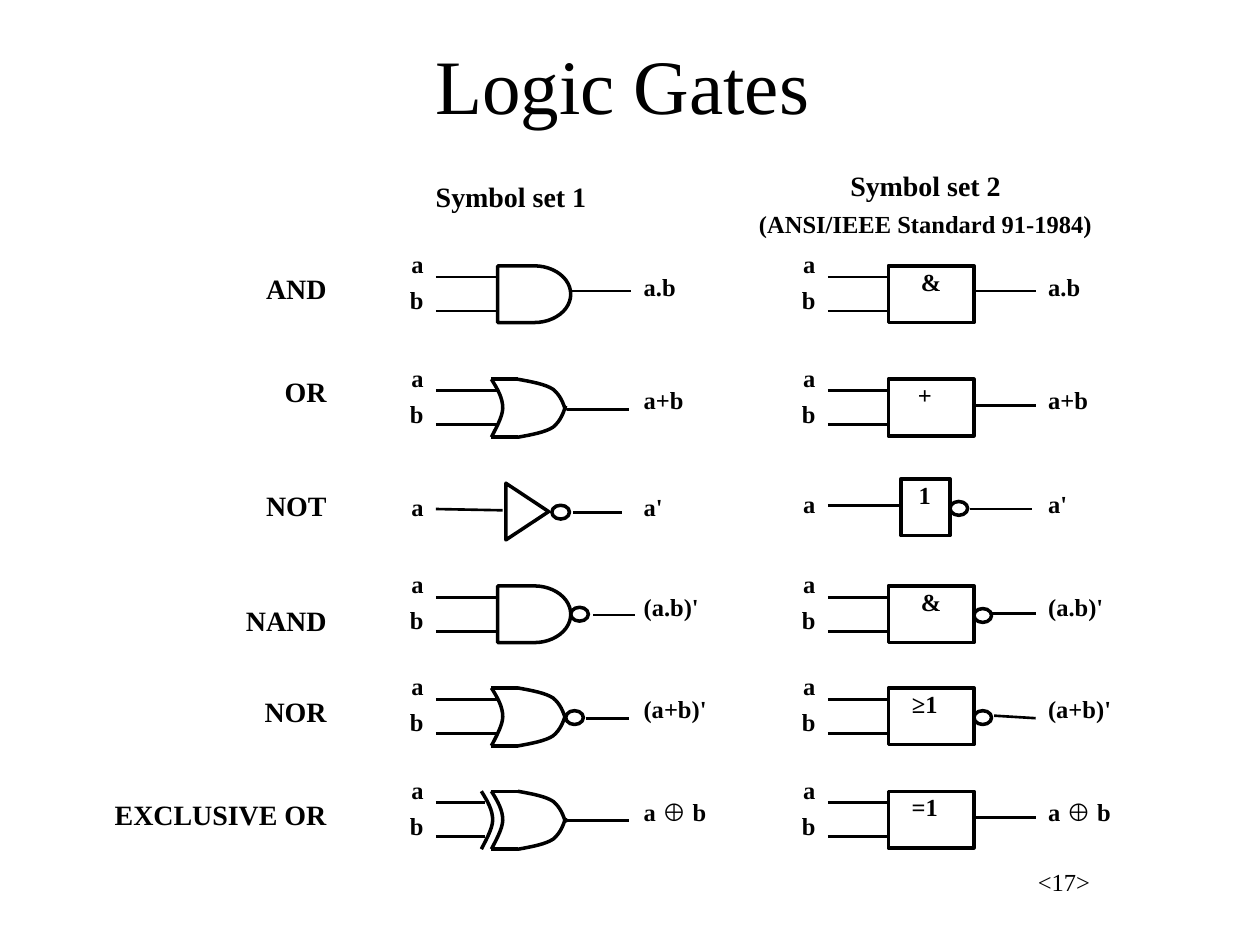
from lxml.etree import SubElement
from pptx import Presentation
from pptx.dml.color import RGBColor
from pptx.enum.shapes import MSO_CONNECTOR, MSO_SHAPE
from pptx.enum.text import MSO_ANCHOR, PP_ALIGN
from pptx.oxml.ns import qn
from pptx.util import Inches, Pt

FONT = "Times New Roman"
BLACK = "000000"
LEFT, CENTER, RIGHT = PP_ALIGN.LEFT, PP_ALIGN.CENTER, PP_ALIGN.RIGHT

GATES = [
    {"label": "AND", "label_top": 2.11, "label_width": 1.07, "top": 2.11, "symbol": "and",
     "output": "a.b", "operator": "&", "operator_left": 7.15,
     "sides": [(0.68, (4.53, 2.31, 5.01, 2.31), None), (0.68, (7.73, 2.31, 8.22, 2.31), None)]},
    {"label": "OR", "label_top": 2.92, "label_width": 1.07, "top": 3.01, "symbol": "or",
     "output": "a+b", "operator": "+", "operator_left": 7.05,
     "sides": [(0.68, (4.5, 3.25, 4.99, 3.25), None), (0.68, (7.73, 3.22, 8.22, 3.22), None)]},
    {"label": "NOT", "label_top": 3.83, "label_width": 1.07, "top": 3.8, "symbol": "not",
     "output": "a'", "operator": "1", "operator_left": 7.05,
     "sides": [(0.58, (4.55, 4.07, 4.94, 4.07), (4.38, 4.01)),
               (0.68, (7.7, 4.04, 8.19, 4.04), (7.54, 3.98))]},
    {"label": "NAND", "label_top": 4.74, "label_width": 1.07, "top": 4.65, "symbol": "and",
     "output": "(a.b)'", "operator": "&", "operator_left": 7.15,
     "sides": [(0.78, (4.71, 4.88, 5.04, 4.88), (4.53, 4.82)),
               (0.78, (7.86, 4.87, 8.22, 4.87), (7.73, 4.83))]},
    {"label": "NOR", "label_top": 5.46, "label_width": 1.07, "top": 5.46, "symbol": "or",
     "output": "(a+b)'", "operator": "≥1", "operator_left": 7.05,
     "sides": [(0.87, (4.65, 5.7, 4.99, 5.7), (4.49, 5.64)),
               (0.97, (7.89, 5.68, 8.22, 5.7), (7.73, 5.64))]},
    {"label": "EXCLUSIVE OR", "label_top": 6.28, "label_width": 2.34, "top": 6.28, "symbol": "xor",
     "output": "a ⊕ b", "operator": "=1", "operator_left": 7.05,
     "sides": [(0.87, (4.5, 6.51, 4.99, 6.51), None), (0.97, (7.73, 6.49, 8.22, 6.49), None)]},
]
INPUT_LEFTS = (3.07, 6.18)
OUTPUT_LEFTS = (5.01, 8.22)
WIRE_STARTS = (3.46, 6.57)
NOT_INPUTS = [(3.86, (3.46, 4.04, 3.99, 4.05)), (3.83, (6.57, 4.01, 7.15, 4.01))]
LABEL_RIGHT = 2.69
GATE_HEIGHT = 0.45

BACK = [(0, 0), (0.05, 0.08), (0.09, 0.15), (0.09, 0.23), (0.09, 0.3), (0.02, 0.42), (0, 0.46)]
UPPER = [(0.21, 0), (0.32, 0.02), (0.43, 0.04), (0.49, 0.08), (0.55, 0.13), (0.57, 0.19), (0.59, 0.25)]
LOWER = [(x, 0.46 - y) for x, y in UPPER]

presentation = Presentation()
presentation.slide_width = Inches(10)
presentation.slide_height = Inches(7.5)
slide = presentation.slides.add_slide(presentation.slide_layouts[5])


def color(value):
    return RGBColor.from_string(value)


def write(frame, lines, align, bold=True):
    frame.word_wrap = True
    for index, (text, size) in enumerate(lines):
        paragraph = frame.paragraphs[0] if index == 0 else frame.add_paragraph()
        paragraph.alignment = align
        if index:
            paragraph.space_before = Pt(3.8)
        run = paragraph.add_run()
        run.text = text
        run.font.name = FONT
        run.font.size = Pt(size)
        run.font.bold = bold
        run.font.color.rgb = color(BLACK)


def add_text(shapes, left, top, width, height, lines, align=LEFT, bold=True):
    box = shapes.add_textbox(Inches(left), Inches(top), Inches(width), Inches(height))
    write(box.text_frame, lines, align, bold)


def outline(shape):
    shape.shadow.inherit = False
    shape.fill.background()
    shape.line.color.rgb = color(BLACK)
    shape.line.width = Pt(2)


def add_outline(kind, left, top, width, height, rotation=0):
    shape = diagram.add_shape(kind, Inches(left), Inches(top), Inches(width), Inches(height))
    shape.rotation = rotation
    outline(shape)


def add_wire(x1, y1, x2, y2, width=1.5):
    wire = diagram.add_connector(MSO_CONNECTOR.STRAIGHT, Inches(x1), Inches(y1), Inches(x2), Inches(y2))
    wire.line.color.rgb = color(BLACK)
    wire.line.width = Pt(width)
    SubElement(wire._element.spPr, qn("a:effectLst"))


def add_curve(controls, left, top):
    points = [(Inches(left + x), Inches(top + y)) for x, y in controls]
    builder = diagram.build_freeform(*points[0])
    builder.add_line_segments(points[1:], close=False)
    shape = builder.convert_to_shape()
    segments = list(shape._element.iter(qn("a:lnTo")))
    outline_element = segments[0].getparent()
    for first in range(0, len(segments), 3):
        curve = SubElement(outline_element, qn("a:cubicBezTo"))
        for segment in segments[first:first + 3]:
            curve.append(segment[0])
            outline_element.remove(segment)
    outline(shape)


def add_or_body(top):
    left = 3.9
    for controls in (BACK, UPPER, LOWER):
        add_curve(controls, left, top)
    for y in (top, top + 0.46):
        add_wire(left, y, left + 0.21, y, 2)


def add_symbol(symbol, top):
    if symbol == "and":
        add_outline(MSO_SHAPE.FLOWCHART_DELAY, 3.95, top, 0.58, GATE_HEIGHT)
    elif symbol == "not":
        add_outline(MSO_SHAPE.FLOWCHART_MERGE, 3.96, 3.89, 0.45, 0.34, 270)
    else:
        add_or_body(top)
        if symbol == "xor":
            add_curve(BACK, 3.82, top)


def add_inputs(gate, side):
    left, top = INPUT_LEFTS[side], gate["top"]
    if gate["symbol"] == "not":
        text_top, wire = NOT_INPUTS[side]
        add_text(diagram, left, text_top, 0.39, 0.33, [("a", 14)], RIGHT)
        add_wire(*wire)
        return
    add_text(diagram, left, top - 0.18, 0.39, 0.64, [("a", 14), ("b", 14)], RIGHT)
    start = WIRE_STARTS[side]
    length = 0.39 if gate["symbol"] == "xor" and side == 0 else 0.49
    for y in (top + 0.09, top + 0.36):
        add_wire(start, y, start + length, y)


def add_gate(gate):
    top, width = gate["top"], gate["label_width"]
    add_text(diagram, LABEL_RIGHT - width, gate["label_top"], width, 0.37, [(gate["label"], 16)], RIGHT)
    add_symbol(gate["symbol"], top)
    box_left, box_width = (7.15, 0.39) if gate["symbol"] == "not" else (7.05, 0.68)
    add_outline(MSO_SHAPE.RECTANGLE, box_left, top, box_width, GATE_HEIGHT)
    operator_left = gate["operator_left"]
    add_text(diagram, operator_left, top - 0.04, 7.63 - operator_left, 0.33,
             [(gate["operator"], 14)], CENTER)
    for side, (output_width, wire, bubble) in enumerate(gate["sides"]):
        add_inputs(gate, side)
        add_wire(*wire)
        if bubble:
            add_outline(MSO_SHAPE.OVAL, *bubble, 0.14, 0.11)
        output_top = NOT_INPUTS[side][0] if gate["symbol"] == "not" else top
        add_text(diagram, OUTPUT_LEFTS[side], output_top, output_width, 0.33, [(gate["output"], 14)])


title = slide.shapes.title
title.left, title.top, title.width, title.height = (Inches(v) for v in (0.69, 0.04, 8.5, 1.25))
title.text_frame.vertical_anchor = MSO_ANCHOR.MIDDLE
write(title.text_frame, [("Logic Gates", 44)], CENTER, False)
add_text(slide.shapes, 6.67, 6.83, 2.08, 0.5, [("<17>", 14)], RIGHT, False)

diagram = slide.shapes.add_group_shape().shapes
for gate in GATES:
    add_gate(gate)
add_text(diagram, 3.36, 1.38, 1.75, 0.37, [("Symbol set 1", 16)])
add_text(diagram, 5.6, 1.29, 3.49, 0.67,
         [("Symbol set 2", 16), ("(ANSI/IEEE Standard 91-1984)", 14)], CENTER)

presentation.save("out.pptx")
